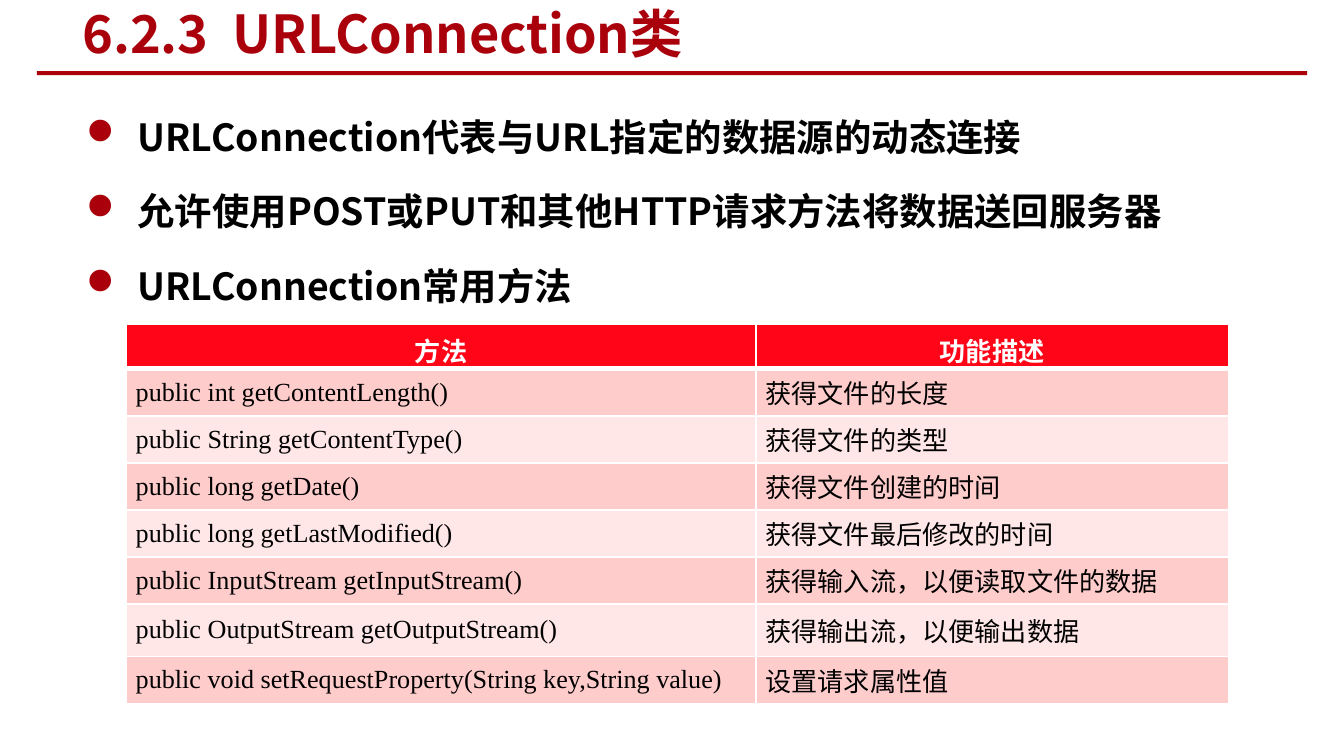
import pptx
import pptx.util
import pptx.dml.color
import pptx.enum.shapes
import pptx.enum.text
import pptx.oxml.ns
import lxml.etree
import dataclasses

ALIGN = pptx.enum.text.PP_ALIGN
MIDDLE = pptx.enum.text.MSO_ANCHOR.MIDDLE


@dataclasses.dataclass
class Theme:
    dark: str = "AA000B"
    head: str = "FF0517"
    bands: tuple = ("FFCCCC", "FFE7E8")
    ink: str = "000000"
    paper: str = "FFFFFF"
    sans: str = "Noto Sans CJK SC"
    fonts: tuple = ("Times New Roman", "Arial")
    top: str = "Calibri"
    title: int = 28
    body: int = 20
    cell: int = 14


class Deck:
    """Draws on one slide with a grid of tenth-inch columns and rows."""

    def __init__(self, theme, cols, rows):
        self.theme = theme
        self.file = pptx.Presentation()
        self.file.slide_width = self.unit(cols)
        self.file.slide_height = self.unit(rows)
        self.slide = self.file.slides.add_slide(self.file.slide_layouts[6])

    def unit(self, count):
        return pptx.util.Inches(count / 10)

    def place(self, box):
        return [self.unit(part) for part in box]

    def color(self, code):
        return pptx.dml.color.RGBColor.from_string(code)

    def fill(self, item, code):
        item.fill.solid()
        item.fill.fore_color.rgb = self.color(code)

    def node(self, owner, tag, **attrs):
        return lxml.etree.SubElement(owner, pptx.oxml.ns.qn(tag), attrs)

    def style(self, para, size, font, code, bold):
        for run in para.runs:
            run.font.size = pptx.util.Pt(size)
            run.font.name = font
            run.font.bold = bold
            run.font.color.rgb = self.color(code)
            self.node(run.font._element, "a:ea", typeface=self.theme.sans)

    def rule(self, box):
        bar = self.slide.shapes.add_shape(
            pptx.enum.shapes.MSO_SHAPE.RECTANGLE, *self.place(box))
        bar.shadow.inherit = False
        bar.line.fill.background()
        self.fill(bar, self.theme.dark)

    def text(self, box, words, size, code):
        frame = self.slide.shapes.add_textbox(*self.place(box)).text_frame
        frame.word_wrap = True
        frame.text = words
        for para in frame.paragraphs:
            self.style(para, size, self.theme.sans, code, True)
        return frame

    def title(self, box, words):
        frame = self.text(box, words, self.theme.title, self.theme.dark)
        frame.vertical_anchor = MIDDLE

    def bullet(self, para, indent):
        props = para._p.get_or_add_pPr()
        props.set("marL", str(self.unit(indent)))
        props.set("indent", str(-self.unit(indent)))
        tint = self.node(props, "a:buClr")
        self.node(tint, "a:srgbClr", val=self.theme.dark)
        self.node(props, "a:buFont", typeface="Wingdings", charset="2")
        self.node(props, "a:buChar", char="l")

    def points(self, box, items):
        frame = self.text(box, "\n".join(items), self.theme.body, self.theme.ink)
        for para in frame.paragraphs:
            para.line_spacing = 1.5
            para.space_before = pptx.util.Pt(4)
            self.bullet(para, 3.8)

    def border(self, cell, upper, lower):
        props = cell._tc.get_or_add_tcPr()
        sides = {"a:lnL": 1, "a:lnR": 1, "a:lnT": upper, "a:lnB": lower}
        for spot, (tag, width) in enumerate(sides.items()):
            line = self.node(props, tag, w=str(pptx.util.Pt(width)))
            ink = self.node(line, "a:solidFill")
            self.node(ink, "a:srgbClr", val=self.theme.paper)
            props.insert(spot, line)

    def table(self, box, widths, heights, rows):
        theme = self.theme
        grid = self.slide.shapes.add_table(
            len(rows), len(widths), *self.place(box)).table
        for col, width in zip(grid.columns, widths):
            col.width = self.unit(width)
        for index, (height, words) in enumerate(zip(heights, rows)):
            grid.rows[index].height = self.unit(height)
            for col, word in enumerate(words):
                cell = grid.cell(index, col)
                cell.text_frame.text = word
                para = cell.text_frame.paragraphs[0]
                if index == 0:
                    self.fill(cell, theme.head)
                    para.alignment = ALIGN.CENTER
                    self.style(para, theme.cell, theme.top, theme.paper, True)
                else:
                    self.fill(cell, theme.bands[(index - 1) % 2])
                    cell.vertical_anchor = MIDDLE
                    cell.margin_left = cell.margin_right = self.unit(0.7)
                    cell.margin_top = cell.margin_bottom = 0
                    para.alignment = ALIGN.JUSTIFY
                    self.style(para, theme.cell, theme.fonts[col], theme.ink, False)
                self.border(cell, 3 if index == 1 else 1, 3 if index == 0 else 1)


deck = Deck(Theme(), 100, 56.25)
deck.rule((2.75, 5.3, 94.5, 0.3))
deck.points((5.45, 6.3, 89.8, 46.1), [
    "URLConnection代表与URL指定的数据源的动态连接",
    "允许使用POST或PUT和其他HTTP请求方法将数据送回服务器",
    "URLConnection常用方法",
])
deck.title((5.15, 0.2, 53, 4.5), "6.2.3  URLConnection类")
deck.table((9.4, 24.1, 82, 28.2), (46.85, 35.15), [3.2] + [3.5] * 5 + [3.9, 3.5], [
    ("方法", "功能描述"),
    ("public int getContentLength()", "获得文件的长度"),
    ("public String getContentType()", "获得文件的类型"),
    ("public long getDate()", "获得文件创建的时间"),
    ("public long getLastModified()", "获得文件最后修改的时间"),
    ("public InputStream getInputStream()", "获得输入流，以便读取文件的数据"),
    ("public OutputStream getOutputStream()", "获得输出流，以便输出数据"),
    ("public void setRequestProperty(String key,String value)", "设置请求属性值"),
])
deck.file.save("out.pptx")
